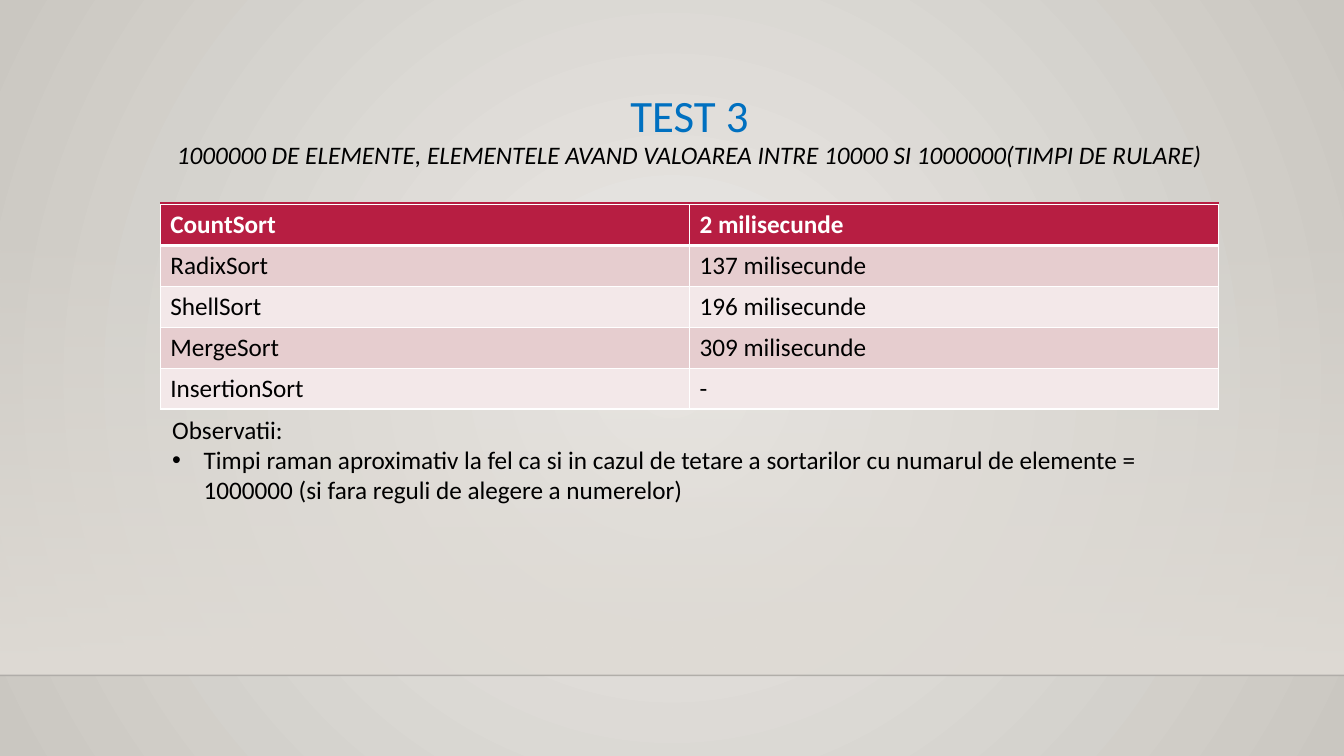
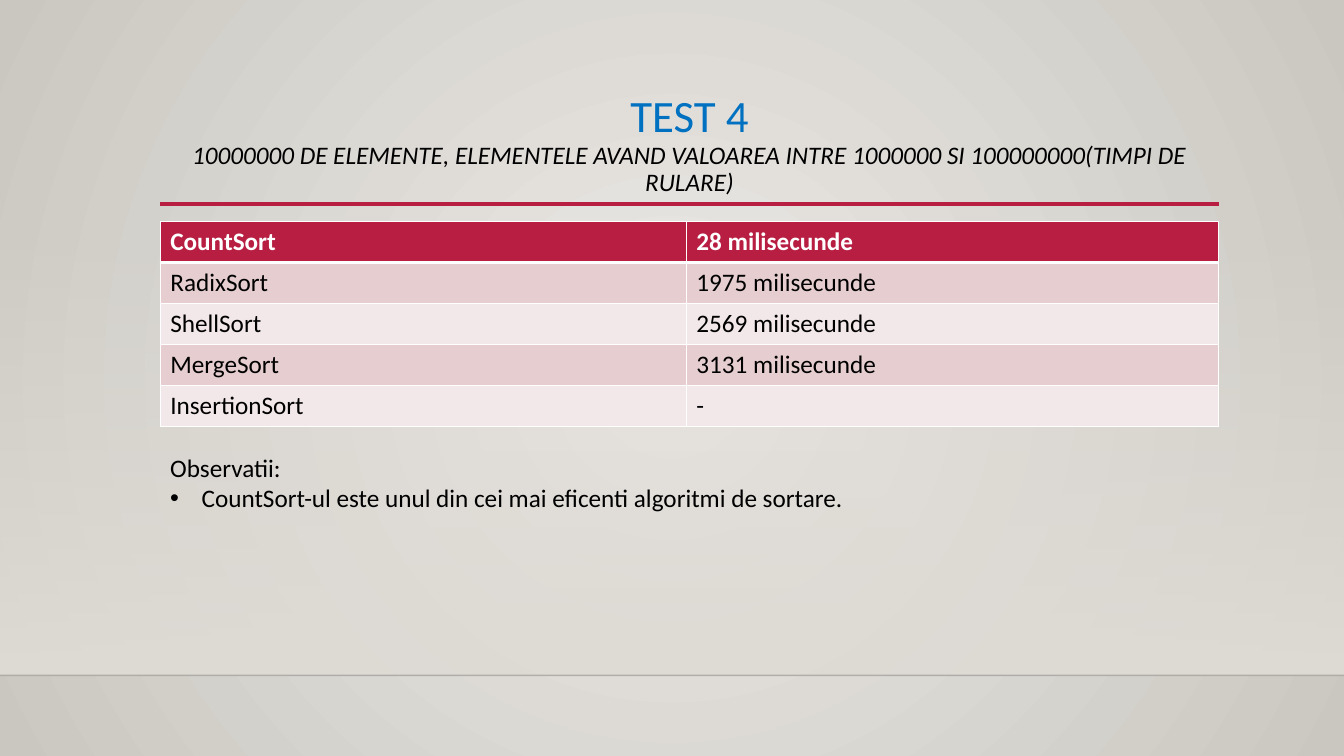
from lxml import etree
from pptx import Presentation
from pptx.dml.color import RGBColor
from pptx.enum.shapes import MSO_CONNECTOR, MSO_SHAPE
from pptx.enum.text import MSO_ANCHOR, MSO_AUTO_SIZE, PP_ALIGN
from pptx.oxml.ns import qn
from pptx.util import Pt

STRAIGHT, RECTANGLE = MSO_CONNECTOR.STRAIGHT, MSO_SHAPE.RECTANGLE
TOP, CENTER = MSO_ANCHOR.TOP, PP_ALIGN.CENTER
NO_FIT, GROW = MSO_AUTO_SIZE.NONE, MSO_AUTO_SIZE.SHAPE_TO_FIT_TEXT

# Content
ALGORITHMS = ["CountSort", "RadixSort", "ShellSort", "MergeSort", "InsertionSort"]
NOTES_HEADING = "Observatii:"
TESTS = [
    {
        "title": "TEST 3",
        "subtitle": "1000000 DE ELEMENTE, ELEMENTELE AVAND\u00a0VALOAREA INTRE 10000 "
                    "SI 1000000(TIMPI DE RULARE)",
        "times": ["2 milisecunde", "137 milisecunde", "196 milisecunde",
                  "309 milisecunde", "-"],
        "note": "Timpi raman\u00a0aproximativ la fel ca si in cazul de tetare a sortarilor "
                "cu numarul de elemente = 1000000 (si fara reguli de alegere a numerelor)",
        "table_top": 146.2,
        "first_column": 378,
        "notes_box": (115.9, 292.3, 752.4, 72.7),
    },
    {
        "title": "TEST 4",
        "subtitle": "10000000 DE ELEMENTE, ELEMENTELE\u00a0AVAND\u00a0VALOAREA INTRE 1000000 "
                    "SI 100000000(TIMPI DE RULARE)",
        "times": ["28 milisecunde", "1975 milisecunde", "2569 milisecunde",
                  "3131 milisecunde", "-"],
        "note": "CountSort-ul este unul din cei mai eficenti algoritmi de sortare.",
        "table_top": 158.4,
        "first_column": 375.8,
        "notes_box": (114.5, 319.7, 756, 51.1),
    },
]

# Shared style and layout, in points
FONT, TITLE_SIZE, TEXT_SIZE = "Calibri", 32, 18
BLUE, RED, BLACK, WHITE = "0070C0", "B71E42", "000000", "FFFFFF"
ROW_FILLS = ["F3E8E9", "E6CDCF"]
BACKDROP, WALL, FLOOR_LINE = ("ECEAE7", "CAC7C1"), "DFDBD5", "000001"
WIDTH, HEIGHT = 960, 540
LEFT, CONTENT_WIDTH = 114.5, 756
TITLE_TOP, TITLE_HEIGHT = 63.4, 82.8
RULE_Y, WALL_TOP, FLOOR_Y = 145.7, 159.1, 482.4
ROW_HEIGHT, BULLET_INDENT = 29.2, 22.5


def color(value):
    return RGBColor.from_string(value)


def points(*values):
    return [Pt(value) for value in values]


def style(font, size, value, bold=False, italic=False):
    font.name, font.size, font.bold, font.italic = FONT, Pt(size), bold, italic
    font.color.rgb = color(value)


def set_gradient(fill, colors):
    fill.gradient()
    for stop, value, position in zip(fill.gradient_stops, colors, (0, 1)):
        stop.color.rgb = color(value)
        stop.position = position


def set_alpha(element, percent):
    first_color = next(element.iter(qn("a:srgbClr")))
    etree.SubElement(first_color, qn("a:alpha"), val=str(percent * 1000))


def set_background(master):
    set_gradient(master.background.fill, BACKDROP)
    gradient = next(master.element.iter(qn("a:gradFill")))
    gradient.remove(gradient.find(qn("a:lin")))
    circle = etree.SubElement(gradient, qn("a:path"))
    circle.set("path", "circle")
    etree.SubElement(circle, qn("a:fillToRect"), l="50000", t="50000", r="50000", b="50000")


def add_line(slide, left, right, y, value, width):
    line = slide.shapes.add_connector(STRAIGHT, *points(left, y, right, y))
    line.line.color.rgb = color(value)
    line.line.width = Pt(width)
    etree.SubElement(line.element.spPr, qn("a:effectLst"))
    return line


def add_scenery(slide):
    wall = slide.shapes.add_shape(
        RECTANGLE, *points(0, WALL_TOP, WIDTH, FLOOR_Y - WALL_TOP))
    wall.shadow.inherit = False
    wall.line.fill.background()
    set_gradient(wall.fill, (WALL, WALL))
    wall.fill.gradient_angle = 270
    set_alpha(wall.element, 0)
    floor = add_line(slide, 0, WIDTH, FLOOR_Y, FLOOR_LINE, 1)
    set_alpha(floor.element, 20)
    add_line(slide, LEFT, LEFT + CONTENT_WIDTH, RULE_Y, RED, 2.5)


def add_title(slide, title, subtitle):
    shape = slide.shapes.title
    shape.left, shape.top, shape.width, shape.height = points(
        LEFT, TITLE_TOP, CONTENT_WIDTH, TITLE_HEIGHT)
    frame = shape.text_frame
    frame.word_wrap, frame.auto_size, frame.vertical_anchor = True, NO_FIT, TOP
    paragraph = frame.paragraphs[0]
    paragraph.alignment, paragraph.line_spacing = CENTER, 0.9
    heading = paragraph.add_run()
    heading.text = title
    style(heading.font, TITLE_SIZE, BLUE)
    paragraph.add_line_break()
    detail = paragraph.add_run()
    detail.text = subtitle
    style(detail.font, TEXT_SIZE, BLACK, italic=True)


def set_borders(cell, widths):
    properties = cell._tc.get_or_add_tcPr()
    for side, width in widths.items():
        border = etree.SubElement(properties, qn(f"a:ln{side}"), w=str(Pt(width)))
        fill = etree.SubElement(border, qn("a:solidFill"))
        etree.SubElement(fill, qn("a:srgbClr"), val=WHITE)


def add_results(slide, times, top, first_column):
    rows = list(zip(ALGORITHMS, times))
    table = slide.shapes.add_table(len(rows), 2, *points(
        LEFT, top, CONTENT_WIDTH, ROW_HEIGHT * len(rows))).table
    table.columns[0].width, table.columns[1].width = points(
        first_column, CONTENT_WIDTH - first_column)
    for row_index, row in enumerate(rows):
        header = row_index == 0
        table.rows[row_index].height = Pt(ROW_HEIGHT)
        for column_index, text in enumerate(row):
            cell = table.cell(row_index, column_index)
            set_borders(cell, {"L": 1, "R": 1, "T": 3 if row_index == 1 else 1,
                               "B": 3 if header else 1})
            cell.fill.solid()
            cell.fill.fore_color.rgb = color(RED if header else ROW_FILLS[row_index % 2])
            cell.text = text
            style(cell.text_frame.paragraphs[0].font, TEXT_SIZE,
                  WHITE if header else BLACK, bold=header)


def add_notes(slide, note, box):
    frame = slide.shapes.add_textbox(*points(*box)).text_frame
    frame.word_wrap, frame.auto_size = True, GROW
    frame.text = f"{NOTES_HEADING}\n{note}"
    for paragraph in frame.paragraphs:
        style(paragraph.font, TEXT_SIZE, BLACK)
    # Bullet with a hanging indent
    properties = frame.paragraphs[1]._p.get_or_add_pPr()
    properties.set("marL", str(Pt(BULLET_INDENT)))
    properties.set("indent", str(-Pt(BULLET_INDENT)))
    bullet_font = etree.Element(qn("a:buFont"), typeface="Arial")
    bullet = etree.Element(qn("a:buChar"), char="•")
    properties.insert(0, bullet_font)
    properties.insert(1, bullet)


# Build the slides
presentation = Presentation()
presentation.slide_width, presentation.slide_height = points(WIDTH, HEIGHT)
set_background(presentation.slide_master)
title_only = presentation.slide_layouts.get_by_name("Title Only")
for test in TESTS:
    slide = presentation.slides.add_slide(title_only)
    add_scenery(slide)
    add_title(slide, test["title"], test["subtitle"])
    add_results(slide, test["times"], test["table_top"], test["first_column"])
    add_notes(slide, test["note"], test["notes_box"])
presentation.save("out.pptx")
